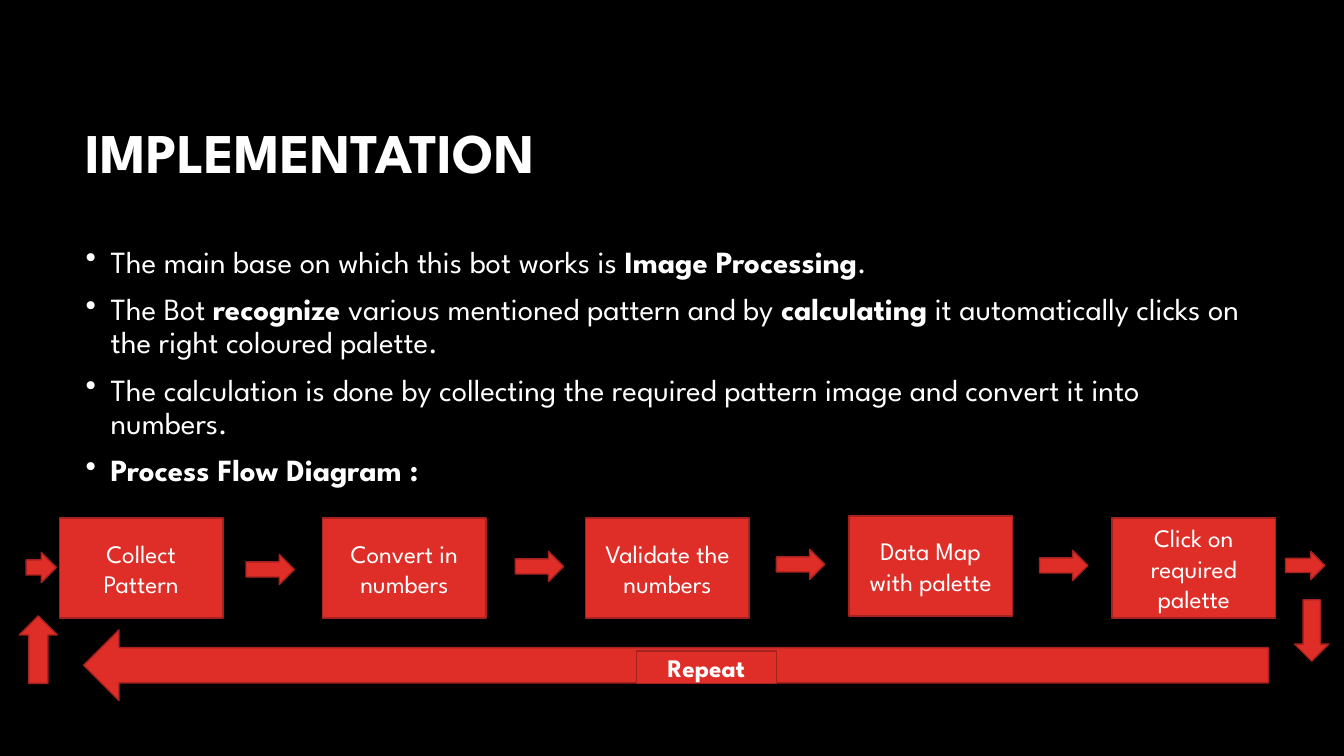
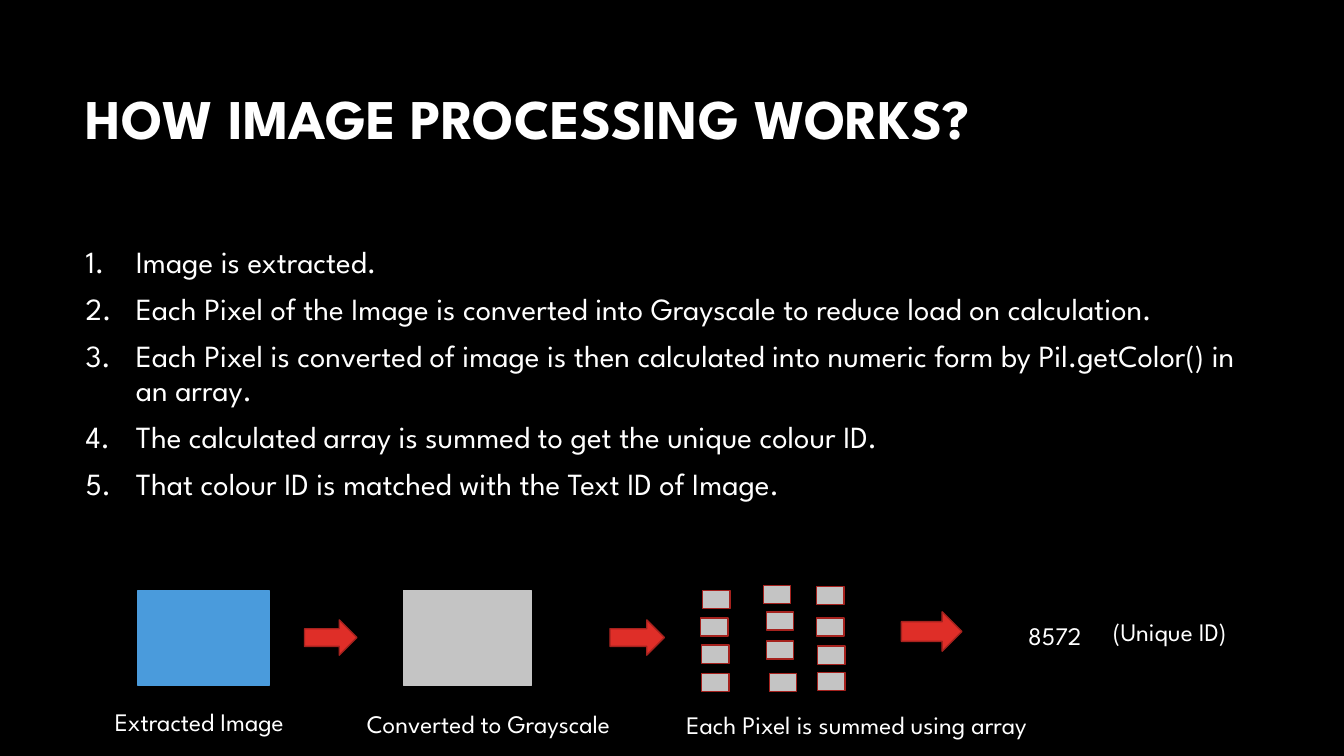
"""Build two slides on how a pattern-reading bot works."""
from lxml import etree
from pptx import Presentation
from pptx.dml.color import RGBColor
from pptx.enum.shapes import MSO_SHAPE as SHAPE
from pptx.enum.text import MSO_ANCHOR as ANCHOR, MSO_AUTO_SIZE as AUTOSIZE, PP_ALIGN as ALIGN
from pptx.oxml.ns import qn
from pptx.util import Inches, Pt

FONT = "League Spartan"
COLORS = {name: RGBColor.from_string(value) for name, value in {
    "black": "000000", "white": "FFFFFF", "red": "DF2E28",
    "dark red": "A5221E", "blue": "4A9BDC", "gray": "C4C4C4"}.items()}


def style(paragraph, size, bold=None, align=ALIGN.LEFT):
    """Give a paragraph the deck's white lettering."""
    paragraph.alignment = align
    font = paragraph.font
    font.name, font.size, font.bold = FONT, Pt(size), bold
    font.color.rgb = COLORS["white"]


def add_block(slide, kind, box, fill="red", line="dark red", label="", bold=None):
    """Add a filled shape, with a centred label if one is given."""
    block = slide.shapes.add_shape(kind, *map(Inches, box))
    block.shadow.inherit = False
    block.fill.solid()
    block.fill.fore_color.rgb = COLORS[fill]
    block.line.color.rgb = COLORS[line]
    block.line.width = Pt(1)
    if label:
        block.text_frame.word_wrap = True
        block.text_frame.vertical_anchor = ANCHOR.MIDDLE
        block.text_frame.text = label
        style(block.text_frame.paragraphs[0], 18, bold, ALIGN.CENTER)


prs = Presentation()
prs.slide_width, prs.slide_height = Inches(13.33), Inches(7.5)
background = prs.slide_master.background.fill
background.solid()
background.fore_color.rgb = COLORS["black"]

pages = [
    ("IMPLEMENTATION", 0.84, 0.25, ("a:buChar", "char", "\u2022"), [
        "The main base on which this bot works is **Image Processing**.",
        "The Bot **recognize** various mentioned pattern and by **calculating** "
        "it automatically clicks on the right coloured palette.",
        "The calculation is done by collecting the required pattern image "
        "and convert it into numbers.",
        "**Process Flow Diagram :**"]),
    ("HOW IMAGE PROCESSING WORKS?", 0.5, 0.5, ("a:buAutoNum", "type", "arabicPeriod"), [
        "Image is extracted.",
        "Each Pixel of the Image is converted into Grayscale to reduce load on calculation.",
        "Each Pixel is converted of image is then calculated into numeric form "
        "by Pil.getColor() in an array.",
        "The calculated array is summed to get the unique colour ID.",
        "That colour ID is matched with the Text ID of Image."]),
]

for heading, heading_top, indent, (marker_tag, marker_key, marker), points in pages:
    slide = prs.slides.add_slide(prs.slide_layouts[5])
    title = slide.shapes.title
    title.left, title.top = Inches(0.75), Inches(heading_top)
    title.width, title.height = Inches(9.42), Inches(1.41)
    title.text_frame.text = heading
    title.text_frame.word_wrap = True
    title.text_frame.auto_size = AUTOSIZE.NONE
    title.text_frame.vertical_anchor = ANCHOR.MIDDLE
    title.text_frame.paragraphs[0].line_spacing = 0.9
    style(title.text_frame.paragraphs[0], 40, True)

    body = slide.shapes.add_textbox(
        Inches(0.75), Inches(2.4), Inches(11.83), Inches(4.4)).text_frame
    body.word_wrap = True
    for number, point in enumerate(points):
        paragraph = body.add_paragraph() if number else body.paragraphs[0]
        paragraph.line_spacing, paragraph.space_before = 0.9, Pt(10)
        properties = paragraph._p.get_or_add_pPr()
        properties.set("marL", str(Inches(indent)))
        properties.set("indent", str(-Inches(indent)))
        etree.SubElement(properties, qn(marker_tag)).set(marker_key, marker)
        style(paragraph, 22)
        for part, words in enumerate(point.split("**")):
            if words:
                run = paragraph.add_run()
                run.text = words
                if part % 2:
                    run.font.bold = True

implementation, processing = prs.slides

steps = [("Collect Pattern", 5.14), ("Convert in numbers", 5.14),
         ("Validate the numbers", 5.14), ("Data Map with palette", 5.12),
         ("Click on required palette", 5.14)]
for number, (step, top) in enumerate(steps):
    add_block(implementation, SHAPE.RECTANGLE,
              (0.59 + 2.61 * number, top, 1.62, 0.99), label=step)

for left, top in [(2.44, 5.5), (5.11, 5.47), (7.7, 5.45), (10.31, 5.46)]:
    add_block(implementation, SHAPE.RIGHT_ARROW, (left, top, 0.48, 0.3))

loop_arrows = [
    (SHAPE.RIGHT_ARROW, (12.75, 5.47, 0.39, 0.28)),
    (SHAPE.DOWN_ARROW, (12.84, 5.95, 0.34, 0.61)),
    (SHAPE.LEFT_ARROW, (0.83, 6.25, 11.75, 0.7)),
    (SHAPE.UP_ARROW, (0.19, 6.11, 0.38, 0.67)),
    (SHAPE.RIGHT_ARROW, (0.26, 5.48, 0.3, 0.3)),
]
for kind, box in loop_arrows:
    add_block(implementation, kind, box)
add_block(implementation, SHAPE.RECTANGLE, (6.31, 6.46, 1.39, 0.32),
          label="Repeat", bold=True)

for left, width, color in [(1.37, 1.3, "blue"), (4, 1.27, "gray")]:
    add_block(processing, SHAPE.RECTANGLE, (left, 5.86, width, 0.94), color, color)

for box in [(3.02, 6.15, 0.52, 0.35), (6.05, 6.15, 0.54, 0.35), (8.94, 6.07, 0.6, 0.39)]:
    add_block(processing, SHAPE.RIGHT_ARROW, box)

pixel_columns = [
    [(6.97, 5.86), (6.95, 6.13), (6.96, 6.4), (6.96, 6.68)],
    [(7.57, 5.81), (7.6, 6.07), (7.6, 6.36), (7.63, 6.68)],
    [(8.1, 5.82), (8.1, 6.13), (8.11, 6.41), (8.11, 6.67)],
]
for column in pixel_columns:
    for left, top in column:
        add_block(processing, SHAPE.RECTANGLE, (left, top, 0.27, 0.18), "gray")

captions = [
    ("8572", 10.1, 6.1, 0.76),
    ("(Unique ID)", 10.94, 6.07, 1.56),
    ("Extracted Image", 1.04, 6.96, 2.25),
    ("Converted to Grayscale", 3.54, 6.98, 3.17),
    ("Each Pixel is summed using array", 6.71, 6.99, 4.18),
]
for caption, left, top, width in captions:
    frame = processing.shapes.add_textbox(
        Inches(left), Inches(top), Inches(width), Inches(0.4)).text_frame
    frame.word_wrap = True
    frame.text = caption
    style(frame.paragraphs[0], 18)

prs.save("out.pptx")
